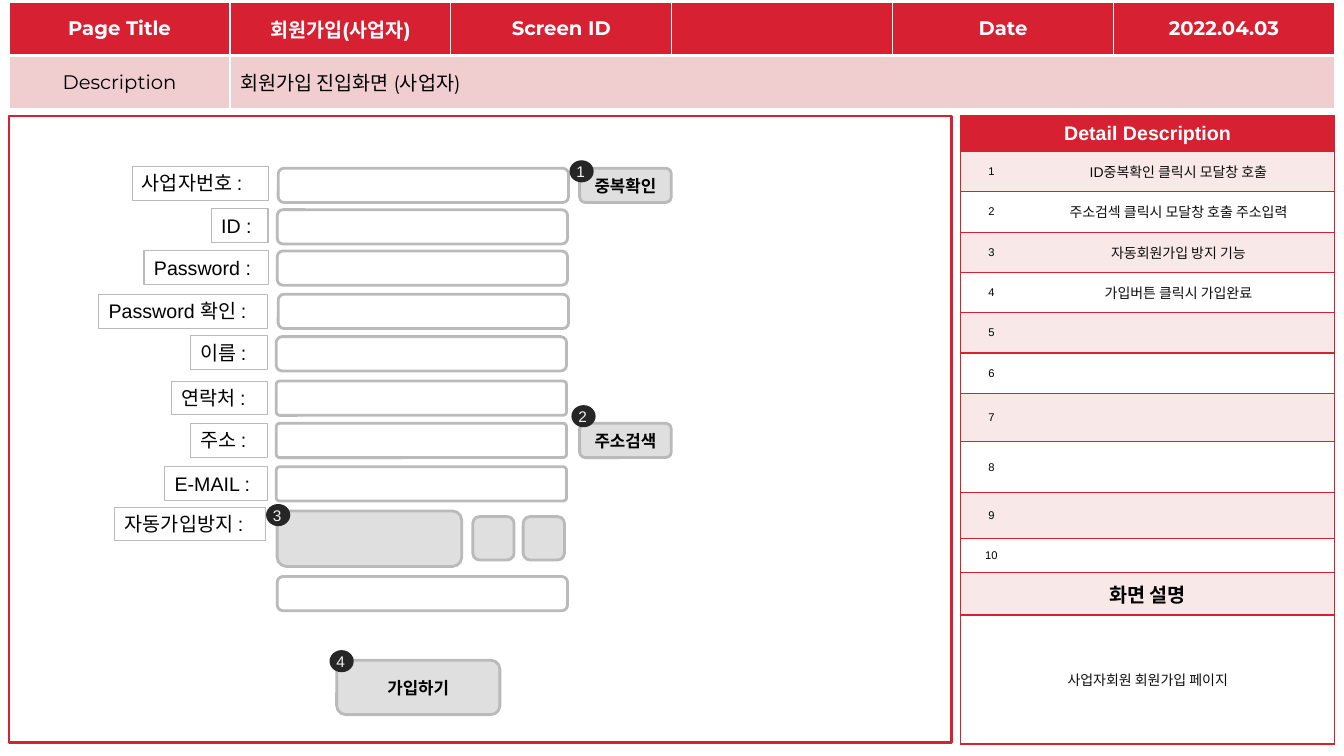
from lxml.etree import SubElement
from pptx import Presentation
from pptx.dml.color import RGBColor
from pptx.enum.shapes import MSO_SHAPE
from pptx.enum.text import MSO_ANCHOR, MSO_AUTO_SIZE, PP_ALIGN
from pptx.oxml.ns import qn
from pptx.util import Pt

RED, PINK, PALE, WHITE = "D82033", "F0CDCE", "F8E8E8", "FFFFFF"
GRAY, BUTTON, BLACK, INK = "BABABA", "DFDFDF", "000000", "0D0D0D"
NO_STYLE = "{2D5ABB26-0587-4C30-8999-92F81FD0307C}"

HEADER = ["Page Title", "회원가입(사업자)", "Screen ID", "", "Date", "2022.04.03"]
SUMMARY = ["Description", "회원가입 진입화면 (사업자)"]

DETAIL_TITLE = "Detail Description"
DETAILS = [
    ("ID중복확인 클릭시 모달창 호출", 28.8),
    ("주소검섹 클릭시 모달창 호출 주소입력", 28.8),
    ("자동회원가입 방지 기능", 28.8),
    ("가입버튼 클릭시 가입완료", 28.8),
    ("", 28.8),
    ("", 28.8),
    ("", 34.6),
    ("", 36.2),
    ("", 33.1),
    ("", 23.8),
]
SCREEN_TITLE = "화면 설명"
SCREEN_NOTE = "사업자회원 회원가입 페이지"

# label, right edge, width, top
LABELS = [
    ("사업자번호 :", 191.5, 97.2, 118.8),
    ("ID :", 191.5, 40.6, 149),
    ("Password :", 191.5, 88.6, 179.3),
    ("Password 확인 :", 191, 120.5, 210.2),
    ("이름 :", 191, 55, 239.8),
    ("연락처 :", 191, 68.4, 272.2),
    ("주소 :", 191, 55, 302.4),
    ("E-MAIL :", 191, 73.4, 333.4),
    ("자동가입방지 :", 189.4, 107.3, 362.2),
]
INPUTS = [
    (198.7, 120.2, 0.17), (198, 149.8, 0.17), (198, 179.3, 0.17),
    (198.7, 210.2, 0.17), (197.3, 240.5, 0.17), (197.3, 272.2, 0.1),
    (197.3, 302.4, 0.1), (197.3, 333.4, 0.1), (198, 411.8, 0.17),
]
BUTTONS = [
    ("중복확인", 414, 120.2, 65.5, 24.5),
    ("주소검색", 414, 302.4, 65.5, 24.5),
    ("가입하기", 240.5, 471.6, 116.6, 38.9),
    ("", 198, 365, 131.8, 39.6),
    ("", 337.7, 369, 29.5, 31),
    ("", 373.7, 369, 29.5, 31),
]
BADGES = [(406.8, 114.5), (408.2, 289.4), (190.1, 360), (235.4, 464.4)]


def rgb(color):
    return RGBColor.from_string(color)


def write(tf, text, size=10, color=BLACK, bold=False, font="Arial", align=PP_ALIGN.CENTER):
    p = tf.paragraphs[0]
    p.alignment = align
    if not text:
        SubElement(p._p, qn("a:endParaRPr"), sz=str(size * 100))
        return
    r = p.add_run()
    r.text = text
    r.font.name, r.font.size, r.font.bold = font, Pt(size), bold
    r.font.color.rgb = rgb(color)


def add_box(shapes, kind, box, fill, line=None):
    s = shapes.add_shape(kind, *map(Pt, box))
    s.shadow.inherit = False
    s.fill.solid()
    s.fill.fore_color.rgb = rgb(fill)
    if line:
        s.line.color.rgb = rgb(line)
        s.line.width = Pt(2)
    else:
        s.line.fill.background()
    return s


def add_grid(shapes, left, top, cols, rows):
    size = Pt(sum(cols)), Pt(sum(rows))
    table = shapes.add_table(len(rows), len(cols), Pt(left), Pt(top), *size).table
    table.first_row = table.horz_banding = False
    table._tbl.tblPr.find(qn("a:tableStyleId")).text = NO_STYLE
    for col, width in zip(table.columns, cols):
        col.width = Pt(width)
    for row, height in zip(table.rows, rows):
        row.height = Pt(height)
    return table


def fill_cell(cell, text, fill, line, borders, **fmt):
    tc_pr = cell._tc.get_or_add_tcPr()
    for side, width in borders.items():
        ln = SubElement(tc_pr, qn("a:ln" + side), w=str(Pt(width)))
        SubElement(SubElement(ln, qn("a:solidFill")), qn("a:srgbClr"), val=line)
    cell.fill.solid()
    cell.fill.fore_color.rgb = rgb(fill)
    cell.vertical_anchor = MSO_ANCHOR.MIDDLE
    write(cell.text_frame, text, **fmt)


def add_header(shapes):
    table = add_grid(shapes, 6.5, 1.5, [157.8] * 6, [38.2] * 2)
    table.cell(1, 1).merge(table.cell(1, 5))
    fmt = dict(size=14, font="Montserrat")
    for c, text in enumerate(HEADER):
        fill_cell(table.cell(0, c), text, RED, WHITE, dict(L=1, R=1, T=1, B=3),
                  color=WHITE, bold=True, **fmt)
    for c, text in enumerate(SUMMARY + [""] * 4):
        fill_cell(table.cell(1, c), text, PINK, WHITE, dict(L=1, R=1, T=3, B=1),
                  align=PP_ALIGN.LEFT if c else PP_ALIGN.CENTER, **fmt)


def add_details(shapes):
    heights = [25.4] + [h for _, h in DETAILS] + [30.6, 92.2]
    table = add_grid(shapes, 686.2, 82.8, [43.9, 223.2], heights)
    banners = {
        0: (DETAIL_TITLE, RED, dict(size=14, color=WHITE, bold=True)),
        len(heights) - 2: (SCREEN_TITLE, PALE, dict(size=14, bold=True)),
        len(heights) - 1: (SCREEN_NOTE, WHITE, dict(color=INK)),
    }
    for row, (text, fill, fmt) in banners.items():
        table.cell(row, 0).merge(table.cell(row, 1))
        for c, part in enumerate([text, ""]):
            fill_cell(table.cell(row, c), part, fill, RED, dict(L=1, R=1, T=1, B=1), **fmt)
    for row, (text, _) in enumerate(DETAILS, 1):
        fill = PALE if row % 2 else WHITE
        fill_cell(table.cell(row, 0), str(row), fill, RED, dict(L=1, T=1, B=1), size=8)
        fill_cell(table.cell(row, 1), text, fill, RED, dict(R=1, T=1, B=1), color=INK)


def add_form(shapes):
    for text, right, width, top in LABELS:
        s = shapes.add_textbox(Pt(right - width), Pt(top), Pt(width), Pt(24.2))
        s.line.color.rgb = rgb(GRAY)
        s.line.width = Pt(0.75)
        s.text_frame.word_wrap = False
        s.text_frame.auto_size = MSO_AUTO_SIZE.SHAPE_TO_FIT_TEXT
        write(s.text_frame, text, size=14, align=PP_ALIGN.LEFT)
    for left, top, radius in INPUTS:
        s = add_box(shapes, MSO_SHAPE.ROUNDED_RECTANGLE, (left, top, 207.4, 24.5), WHITE, GRAY)
        s.adjustments[0] = radius
    for text, *box in BUTTONS:
        s = add_box(shapes, MSO_SHAPE.ROUNDED_RECTANGLE, box, BUTTON, GRAY)
        if text:
            s.text_frame.vertical_anchor = MSO_ANCHOR.MIDDLE
            write(s.text_frame, text, size=12, bold=True)


def add_badges(shapes):
    for number, (left, top) in enumerate(BADGES, 1):
        group = shapes.add_group_shape().shapes
        add_box(group, MSO_SHAPE.OVAL, (left, top, 17.3, 15.8), "262626")
        s = group.add_textbox(Pt(left - 2.2), Pt(top - 2.2), Pt(19.4), Pt(20.9))
        s.text_frame.word_wrap = True
        s.text_frame.auto_size = MSO_AUTO_SIZE.SHAPE_TO_FIT_TEXT
        write(s.text_frame, str(number), size=11, color="F2F2F2", align=PP_ALIGN.LEFT)


def main():
    prs = Presentation()
    prs.slide_width, prs.slide_height = Pt(960), Pt(540)
    shapes = prs.slides.add_slide(prs.slide_layouts[6]).shapes
    add_box(shapes, MSO_SHAPE.RECTANGLE, (6.5, 82.8, 673.2, 447.8), WHITE, RED)
    add_header(shapes)
    add_details(shapes)
    add_form(shapes)
    add_badges(shapes)
    prs.save("out.pptx")


if __name__ == "__main__":
    main()
